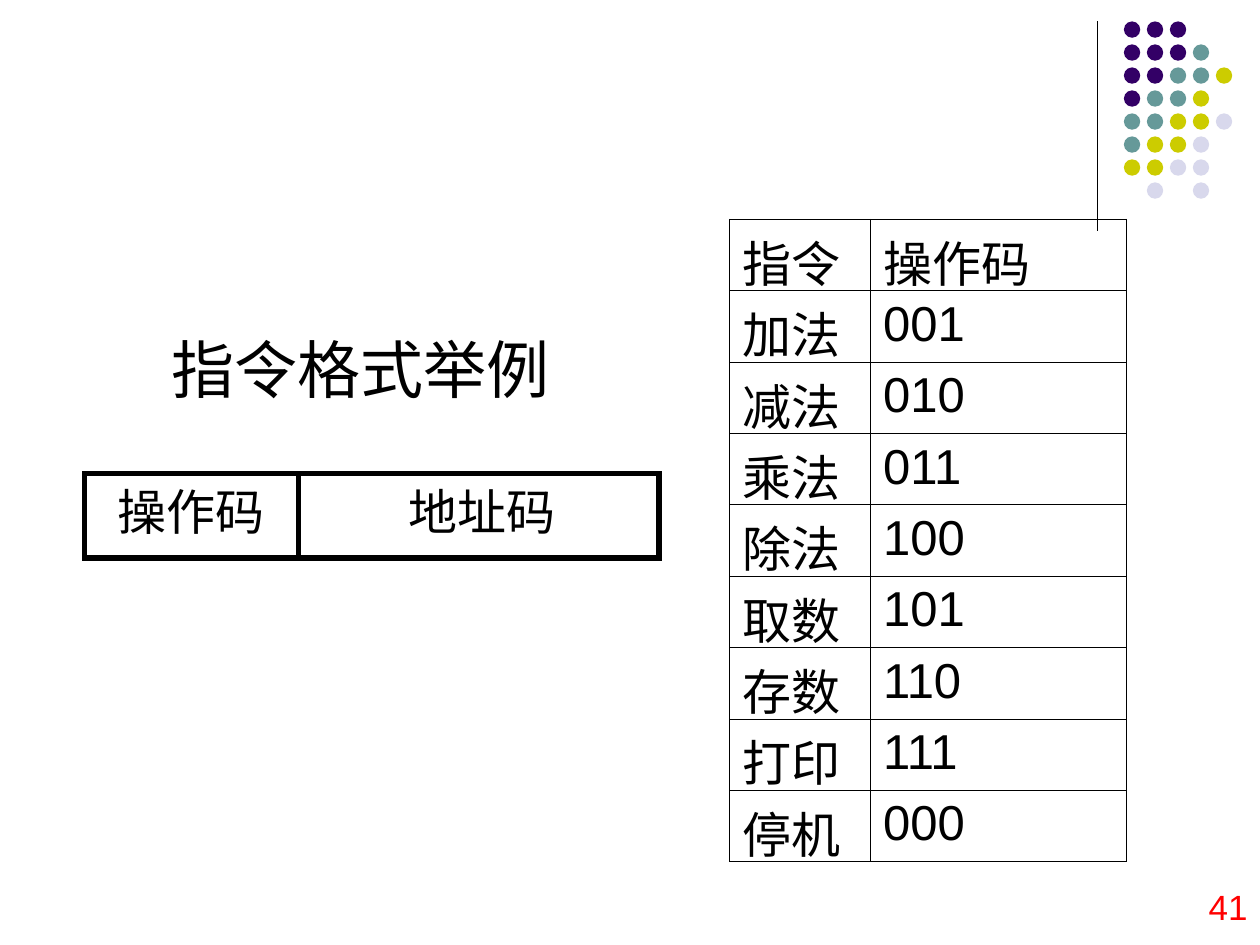
from typing import NamedTuple

from lxml import etree
from pptx import Presentation
from pptx import util as u
from pptx.dml.color import RGBColor
from pptx.enum import shapes, text
from pptx.oxml.ns import qn

BLACK = RGBColor(0x00, 0x00, 0x00)
RED = RGBColor(0xFF, 0x00, 0x00)
DOT_COLORS = {
    "P": RGBColor(0x33, 0x00, 0x66),
    "T": RGBColor(0x66, 0x99, 0x99),
    "Y": RGBColor(0xCC, 0xCC, 0x00),
    "L": RGBColor(0xD8, 0xD8, 0xEC),
}
DOT_ROWS = ["PPP", "PPPT", "PPTTY", "PTTY", "TTYYL", "TYYL", "YYLL", ".L.L"]
DOT_LEFT, DOT_TOP, DOT_RIGHT, DOT_SIZE = 8.92, 0.17, 9.65, 0.13
DOT_PITCH = (DOT_RIGHT - DOT_LEFT) / 4
FONT = "Arial"


class Label(NamedTuple):
    words: str
    left: float
    top: float
    width: float
    height: float
    size: int = 28
    color: RGBColor = BLACK
    align: text.PP_ALIGN = text.PP_ALIGN.CENTER


class Instruction(NamedTuple):
    name: str
    opcode: str


LABELS = [
    Label("操作码", 0.76, 3.77, 1.51, 0.57),
    Label("地址码", 3.07, 3.77, 1.51, 0.57),
    Label("41", 7.67, 6.98, 2.33, 0.5, 20, RED, text.PP_ALIGN.RIGHT),
]
INSTRUCTIONS = [
    Instruction("指令", "操作码"),
    Instruction("加法", "001"),
    Instruction("减法", "010"),
    Instruction("乘法", "011"),
    Instruction("除法", "100"),
    Instruction("取数", "101"),
    Instruction("存数", "110"),
    Instruction("打印", "111"),
    Instruction("停机", "000"),
]


def style_paragraph(para, size: int, color: RGBColor, align: text.PP_ALIGN) -> None:
    para.alignment = align
    para.font.name = FONT
    para.font.size = u.Pt(size)
    para.font.color.rgb = color


def add_line(page, x1: float, y1: float, x2: float, y2: float, width: float) -> None:
    line = page.shapes.add_connector(
        shapes.MSO_CONNECTOR.STRAIGHT,
        u.Inches(x1), u.Inches(y1), u.Inches(x2), u.Inches(y2),
    )
    line.line.color.rgb = BLACK
    line.line.width = u.Pt(width)
    etree.SubElement(line._element.spPr, qn("a:effectLst"))


def add_dots(page) -> None:
    for row, codes in enumerate(DOT_ROWS):
        for column, code in enumerate(codes):
            if code not in DOT_COLORS:
                continue
            dot = page.shapes.add_shape(
                shapes.MSO_SHAPE.OVAL,
                u.Inches(DOT_LEFT + column * DOT_PITCH),
                u.Inches(DOT_TOP + row * DOT_PITCH),
                u.Inches(DOT_SIZE), u.Inches(DOT_SIZE),
            )
            dot.shadow.inherit = False
            dot.fill.solid()
            dot.fill.fore_color.rgb = DOT_COLORS[code]
            dot.line.fill.background()


def add_title(page) -> None:
    title = page.shapes.title
    title.left, title.top = u.Inches(1.26), u.Inches(2.57)
    title.width, title.height = u.Inches(3.25), u.Inches(0.7)
    frame = title.text_frame
    frame.text = "指令格式举例"
    frame.word_wrap = True
    frame.auto_size = text.MSO_AUTO_SIZE.NONE
    frame.vertical_anchor = text.MSO_ANCHOR.TOP
    style_paragraph(frame.paragraphs[0], 36, BLACK, text.PP_ALIGN.LEFT)


def add_label(page, label: Label) -> None:
    box = page.shapes.add_textbox(
        u.Inches(label.left), u.Inches(label.top),
        u.Inches(label.width), u.Inches(label.height),
    )
    frame = box.text_frame
    frame.text = label.words
    frame.word_wrap = True
    style_paragraph(frame.paragraphs[0], label.size, label.color, label.align)


def add_format_frame(page) -> None:
    frame = page.shapes.add_shape(
        shapes.MSO_SHAPE.RECTANGLE,
        u.Inches(0.67), u.Inches(3.76), u.Inches(4.56), u.Inches(0.67),
    )
    frame.shadow.inherit = False
    frame.fill.background()
    frame.line.color.rgb = BLACK
    frame.line.width = u.Pt(3)
    outline = frame._element.spPr.find(qn("a:ln"))
    etree.SubElement(outline, qn("a:miter"), lim="800000")
    add_line(page, 2.37, 3.76, 2.37, 4.43, 3)


def set_borders(cell, width: float) -> None:
    properties = cell._tc.get_or_add_tcPr()
    for position, side in enumerate(("a:lnL", "a:lnR", "a:lnT", "a:lnB")):
        border = etree.Element(qn(side), w=str(u.Pt(width)))
        fill = etree.SubElement(border, qn("a:solidFill"))
        etree.SubElement(fill, qn("a:srgbClr"), val=str(BLACK))
        properties.insert(position, border)


def add_opcode_table(page) -> None:
    row_height = u.Inches(5.1 / len(INSTRUCTIONS))
    table = page.shapes.add_table(
        len(INSTRUCTIONS), 2,
        u.Inches(5.79), u.Inches(1.74), u.Inches(3.15), u.Inches(5.1),
    ).table
    table.first_row = table.horz_banding = False
    for column, width in zip(table.columns, (1.12, 2.03)):
        column.width = u.Inches(width)
    for row, instruction in zip(table.rows, INSTRUCTIONS):
        row.height = row_height
        for cell, words in zip(row.cells, instruction):
            cell.text = words
            cell.fill.background()
            cell.margin_top = u.Inches(0.05)
            cell.margin_bottom = 0
            style_paragraph(cell.text_frame.paragraphs[0], 28, BLACK, text.PP_ALIGN.LEFT)
            set_borders(cell, 0.45)


def main() -> None:
    deck = Presentation()
    deck.slide_width, deck.slide_height = u.Inches(10), u.Inches(7.5)
    page = deck.slides.add_slide(deck.slide_layouts[5])
    add_line(page, 8.71, 0.17, 8.71, 1.83, 0.75)
    add_dots(page)
    add_title(page)
    add_format_frame(page)
    for label in LABELS:
        add_label(page, label)
    add_opcode_table(page)
    deck.save("out.pptx")


if __name__ == "__main__":
    main()
